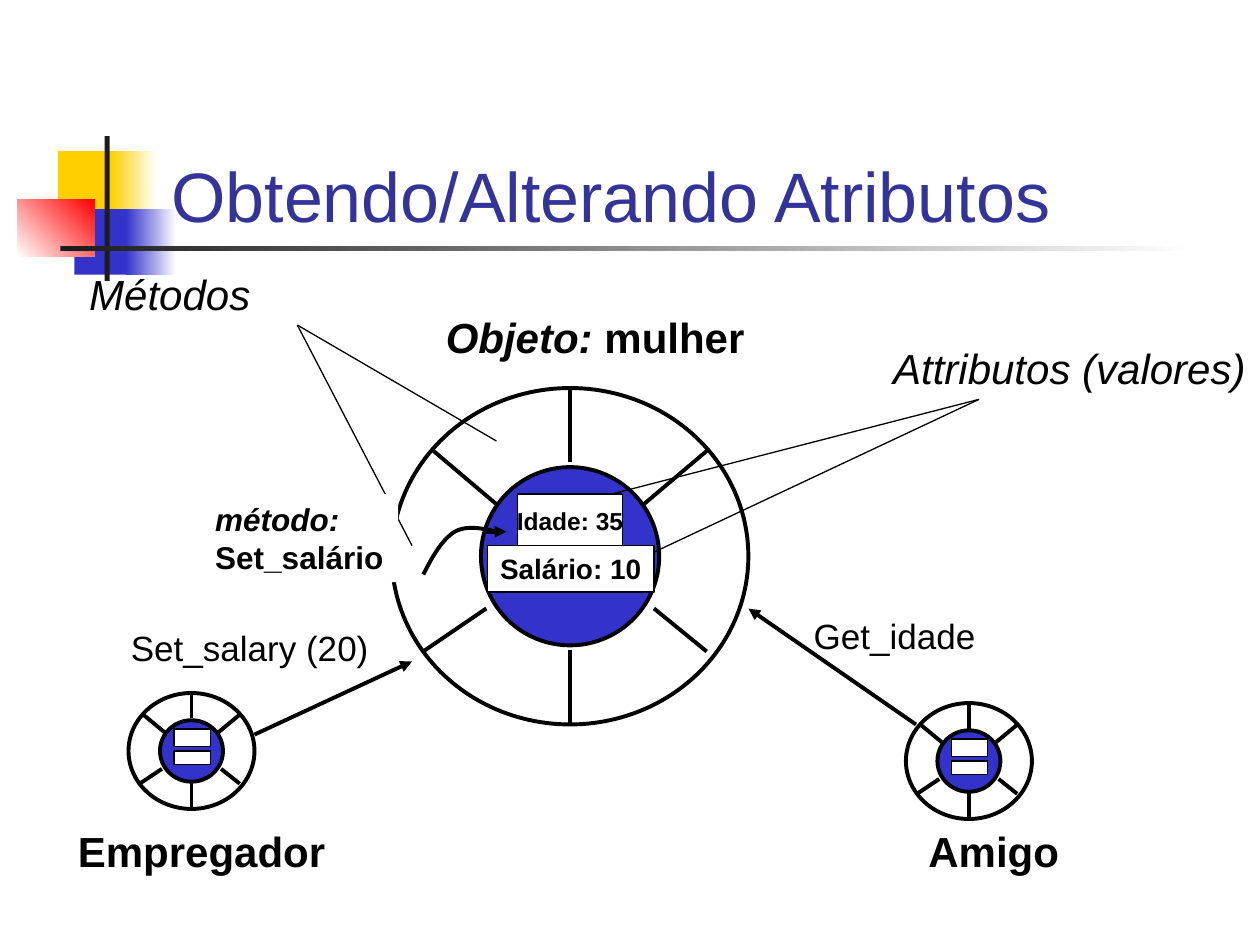
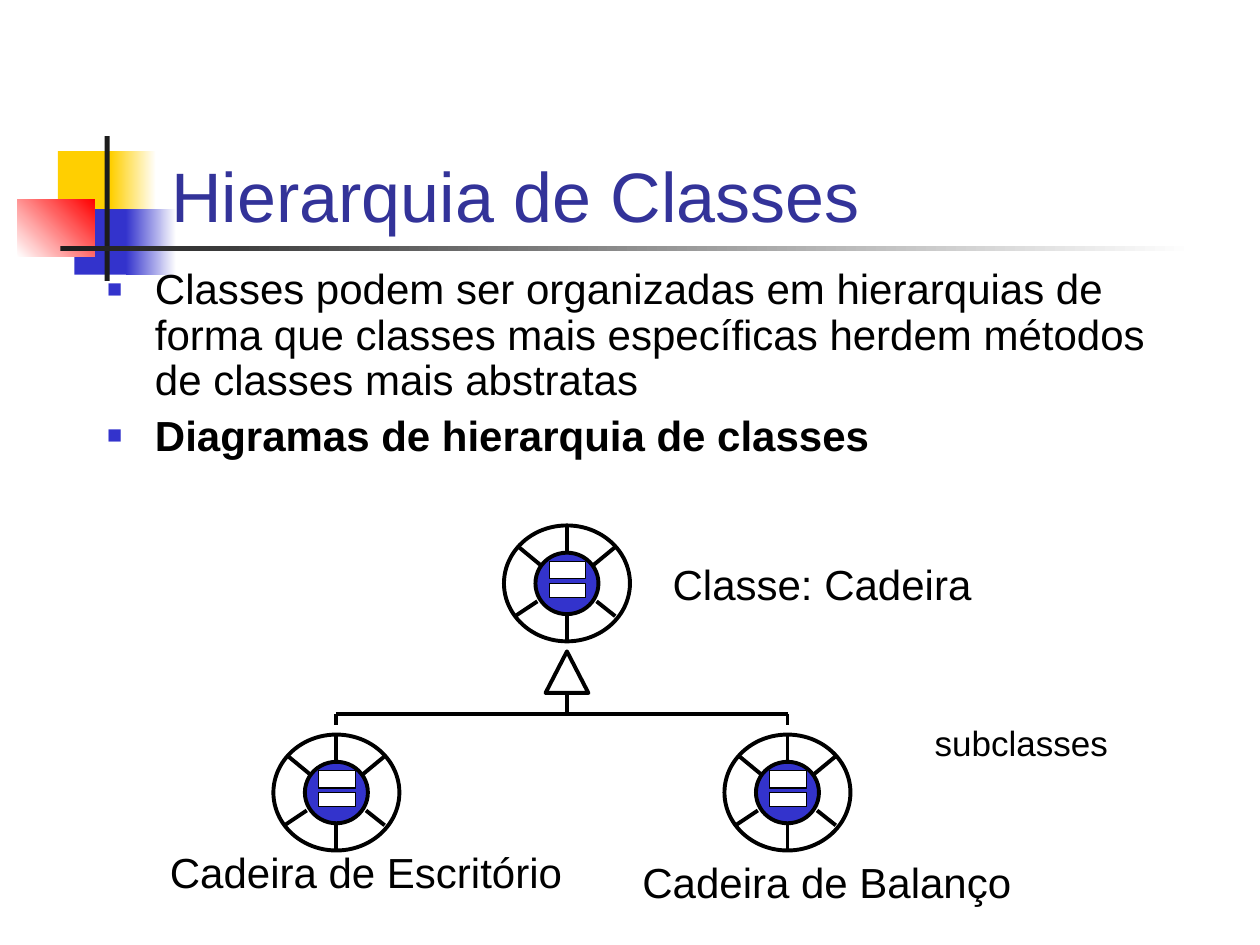
from lxml import etree
from pptx import Presentation
from pptx.dml.color import RGBColor
from pptx.enum.shapes import MSO_CONNECTOR, MSO_SHAPE
from pptx.enum.text import MSO_ANCHOR, MSO_AUTO_SIZE, PP_ALIGN
from pptx.oxml.ns import qn
from pptx.util import Inches, Pt

RECTANGLE, OVAL = MSO_SHAPE.RECTANGLE, MSO_SHAPE.OVAL
TRIANGLE = MSO_SHAPE.FLOWCHART_EXTRACT
STRAIGHT = MSO_CONNECTOR.STRAIGHT
LEFT, CENTER = PP_ALIGN.LEFT, PP_ALIGN.CENTER
TOP, MIDDLE, BOTTOM = MSO_ANCHOR.TOP, MSO_ANCHOR.MIDDLE, MSO_ANCHOR.BOTTOM
FIT_SHAPE, NO_FIT = MSO_AUTO_SIZE.SHAPE_TO_FIT_TEXT, MSO_AUTO_SIZE.NONE

FONT = "Arial"
COLORS = {
    "black": "000000", "white": "FFFFFF", "title": "333399", "blue": "3333CC",
    "yellow": "FFCF01", "red": "FF0000", "rule": "1C1C1C",
}
THICK, THIN = 2.25, 0.75

# Everything inside a wheel is a fraction of the wheel's own box.
HUB = (0.25, 0.235, 0.5, 0.53)
SLOTS = [(0.36, 0.31, 0.29, 0.15), (0.36, 0.5, 0.29, 0.12)]
SPOKES = [
    ((0.5, 0), (0.5, 0.22)),
    ((0.5, 0.78), (0.5, 1)),
    ((0.117, 0.187), (0.293, 0.345)),
    ((0.883, 0.187), (0.707, 0.345)),
    ((0.088, 0.783), (0.265, 0.655)),
    ((0.883, 0.783), (0.735, 0.655)),
]
SMALL_WHEEL = (1, 0.92)


def rgb(name):
    return RGBColor.from_string(COLORS[name])


def inches(values):
    return [Inches(value) for value in values]


def within(box, part):
    """Turn a fractional part (x, y, w, h) of a box into slide inches."""
    left, top, width, height = box
    x, y, w, h = part
    return left + x * width, top + y * height, w * width, h * height


def paint(shape, fill=None, line=None):
    shape.shadow.inherit = False
    if fill:
        shape.fill.solid()
        shape.fill.fore_color.rgb = rgb(fill)
    else:
        shape.fill.background()
    if line:
        shape.line.color.rgb = rgb("black")
        shape.line.width = Pt(line)
    else:
        shape.line.fill.background()


def add_shape(page, kind, box, fill=None, line=None):
    shape = page.shapes.add_shape(kind, *inches(box))
    paint(shape, fill, line)
    return shape


def add_line(page, start, end, weight=THICK, arrow=False):
    line = page.shapes.add_connector(STRAIGHT, *inches(start + end))
    line.line.color.rgb = rgb("black")
    line.line.width = Pt(weight)
    properties = line.element.spPr
    if arrow:
        etree.SubElement(properties.find(qn("a:ln")), qn("a:tailEnd"), type="triangle")
    etree.SubElement(properties, qn("a:effectLst"))
    return line


def set_font(font, size, bold=False, italic=False, color="black"):
    font.name = FONT
    font.size = Pt(size)
    font.bold = bold
    font.italic = italic
    font.color.rgb = rgb(color)


def write(shape, text, size, bold=False, italic=False, align=LEFT, anchor=TOP):
    """Write one paragraph in a shape that does not wrap."""
    frame = shape.text_frame
    frame.word_wrap = False
    frame.auto_size = FIT_SHAPE if anchor == TOP else NO_FIT
    frame.vertical_anchor = anchor
    para = frame.paragraphs[0]
    para.text = text
    para.alignment = align
    set_font(para.font, size, bold, italic)
    return para


def add_label(page, box, text, size=24, bold=False, italic=False):
    return write(page.shapes.add_textbox(*inches(box)), text, size, bold, italic)


def add_gradient(page, box, start, end, angle=0):
    shape = add_shape(page, RECTANGLE, box, start)
    shape.fill.gradient()
    shape.fill.gradient_angle = angle
    for stop, color in zip(shape.fill.gradient_stops, (start, end)):
        stop.color.rgb = rgb(color)


def add_wheel(page, box):
    add_shape(page, OVAL, box, line=THICK)
    add_shape(page, OVAL, within(box, HUB), "blue", THICK)
    for start, end in SPOKES:
        add_line(page, within(box, start + (0, 0))[:2], within(box, end + (0, 0))[:2])


def add_small_wheel(page, left, top):
    box = (left, top) + SMALL_WHEEL
    add_wheel(page, box)
    for slot in SLOTS:
        add_shape(page, RECTANGLE, within(box, slot), "white", THIN)


def add_curve(page, start, segments, steps=10):
    """Trace cubic Bézier segments, each two controls and an end, as one outline."""
    points = []
    corner = start
    for first, second, end in segments:
        for step in range(1, steps + 1):
            t = step / steps
            weights = ((1 - t) ** 3, 3 * t * (1 - t) ** 2, 3 * t * t * (1 - t), t ** 3)
            points.append([
                Inches(sum(w * value for w, value in zip(weights, axis)))
                for axis in zip(corner, first, second, end)
            ])
        corner = end
    builder = page.shapes.build_freeform(*inches(start), scale=1.0)
    builder.add_line_segments(points, close=False)
    paint(builder.convert_to_shape(), line=THICK)


def add_page(deck, layout, title):
    page = deck.slides.add_slide(deck.slide_layouts.get_by_name(layout))
    box = page.shapes.title
    box.left, box.top, box.width, box.height = inches((1.26, 0.68, 8.52, 1.25))
    frame = box.text_frame
    frame.text = title
    frame.vertical_anchor = BOTTOM
    frame.auto_size = NO_FIT
    para = frame.paragraphs[0]
    para.alignment = LEFT
    set_font(para.font, 40, color="title")
    return page


def decorate_master(deck, page):
    """Draw the shared emblem and rule on a page, then hand them to the master."""
    existing = len(page.shapes)
    add_shape(page, RECTANGLE, (0.46, 1.2, 0.48, 0.52), "yellow")
    add_gradient(page, (0.88, 1.2, 0.36, 0.52), "yellow", "white")
    add_shape(page, RECTANGLE, (0.59, 1.66, 0.46, 0.52), "blue")
    add_gradient(page, (1, 1.66, 0.4, 0.52), "blue", "white")
    add_gradient(page, (0.14, 1.58, 0.61, 0.46), "white", "red", 45)
    add_shape(page, RECTANGLE, (0.83, 1.08, 0.04, 1.15), "rule")
    add_gradient(page, (0.48, 1.95, 9, 0.04), "rule", "white")
    master_tree = deck.slide_master.shapes[0].element.getparent()
    for shape in list(page.shapes)[existing:]:
        master_tree.append(shape.element)


def add_method_box(page, box):
    shape = add_shape(page, RECTANGLE, box, "white")
    write(shape, "método:", 18, bold=True, italic=True)
    para = shape.text_frame.add_paragraph()
    para.text = "Set_salário"
    para.alignment = LEFT
    set_font(para.font, 18, bold=True)


def add_pointers(page, source, targets):
    for target in targets:
        add_line(page, source, target, THIN)


def fill_attributes_page(page):
    add_wheel(page, (3.11, 3.08, 2.83, 2.67))
    age = add_shape(page, RECTANGLE, (4.11, 3.92, 0.83, 0.42), "white", THIN)
    write(age, "Idade: 35", 14, bold=True, align=CENTER, anchor=MIDDLE)
    add_pointers(page, (7.77, 3.17), [(4.86, 3.92), (4.94, 4.5)])
    add_label(page, (0.61, 2.08, 1.48, 0.5), "Métodos", italic=True)
    add_label(page, (6.99, 2.67, 3.01, 0.5), "Attributos (valores)", italic=True)
    add_pointers(page, (2.36, 2.58), [(3.94, 3.5), (3.27, 4.33)])

    add_small_wheel(page, 1.02, 5.5)
    add_label(page, (0.94, 4.92, 2.09, 0.44), "Set_salary (20)", 20)
    heading = add_label(page, (3.44, 2.42, 2.57, 0.5), "Objeto: ", bold=True)
    heading.runs[0].font.italic = True
    heading.add_run().text = "mulher"

    add_method_box(page, (1.61, 3.92, 1.55, 0.7))
    add_curve(page, (3.36, 4.56), [
        ((3.43, 4.42), (3.51, 4.28), (3.61, 4.22)),
        ((3.7, 4.17), (3.82, 4.19), (3.94, 4.22)),
    ])
    add_line(page, (3.86, 4.22), (4.02, 4.22), arrow=True)

    add_line(page, (2.02, 5.83), (3.27, 5.25), arrow=True)
    add_label(page, (0.52, 6.5, 2.16, 0.5), "Empregador", bold=True)
    add_small_wheel(page, 7.19, 5.58)
    add_line(page, (7.27, 5.75), (5.94, 4.83), arrow=True)
    add_label(page, (6.36, 4.83, 1.5, 0.44), "Get_idade", 20)
    add_label(page, (7.27, 6.5, 1.26, 0.5), "Amigo", bold=True)
    salary = add_shape(page, RECTANGLE, (3.87, 4.33, 1.32, 0.37), "white", THIN)
    write(salary, "Salário: 10", 16, bold=True)


def add_bullet(para):
    properties = para._p.get_or_add_pPr()
    properties.set("marL", str(Inches(0.38)))
    properties.set("indent", str(-Inches(0.38)))
    color = etree.SubElement(properties, qn("a:buClr"))
    etree.SubElement(color, qn("a:srgbClr"), val=COLORS["blue"])
    etree.SubElement(properties, qn("a:buSzPct"), val="60000")
    etree.SubElement(properties, qn("a:buFont"), typeface=FONT)
    etree.SubElement(properties, qn("a:buChar"), char="■")


def fill_body(body, box, items):
    """Fill the body placeholder with (text, bold) bullet items."""
    body.left, body.top, body.width, body.height = inches(box)
    frame = body.text_frame
    frame.auto_size = NO_FIT
    for index, (text, bold) in enumerate(items):
        para = frame.add_paragraph() if index else frame.paragraphs[0]
        para.text = text
        add_bullet(para)
        para.line_spacing = 0.9
        para.space_before = Pt(6 if index else 0)
        set_font(para.font, 24, bold)


def add_class_tree(page, left, top):
    """Draw a parent wheel, an inheritance arrow and two child wheels."""
    root_x, bar_y, child_top = left + 2.33, top + 1.5, top + 1.66
    child_centers = (left + 0.5, left + 4.08)
    add_small_wheel(page, root_x - 0.5, top)
    triangle_box = (root_x - 0.17, top + 1, 0.34, 0.33)
    triangle = add_shape(page, TRIANGLE, triangle_box, "white", THICK)
    stem = add_line(page, (root_x, top + 1.33), (root_x, bar_y))
    stem.begin_connect(triangle, 2)
    add_line(page, (child_centers[0], bar_y), (child_centers[1], bar_y))
    for center in child_centers:
        add_line(page, (center, bar_y), (center, bar_y + 0.08))
        add_small_wheel(page, center - 0.5, child_top)


def fill_hierarchy_page(page):
    fill_body(page.placeholders[1], (0.75, 2.08, 8.5, 2.25), [
        ("Classes podem ser organizadas em hierarquias de forma que classes "
         "mais específicas herdem métodos de classes mais abstratas", False),
        ("Diagramas de hierarquia de classes", True),
    ])
    add_class_tree(page, 2.17, 4.17)
    add_label(page, (5.24, 4.38, 2.57, 0.5), "Classe: Cadeira")
    add_label(page, (7.32, 5.68, 1.6, 0.44), "subclasses", 20)
    add_label(page, (1.25, 6.67, 3.31, 0.5), "Cadeira de Escritório")
    add_label(page, (5, 6.75, 3.13, 0.5), "Cadeira de Balanço")


def main():
    deck = Presentation()
    deck.slide_width, deck.slide_height = Inches(10), Inches(7.5)
    attributes = add_page(deck, "Title Only", "Obtendo/Alterando Atributos")
    decorate_master(deck, attributes)
    fill_attributes_page(attributes)
    fill_hierarchy_page(add_page(deck, "Title and Content", "Hierarquia de Classes"))
    deck.save("out.pptx")


if __name__ == "__main__":
    main()
